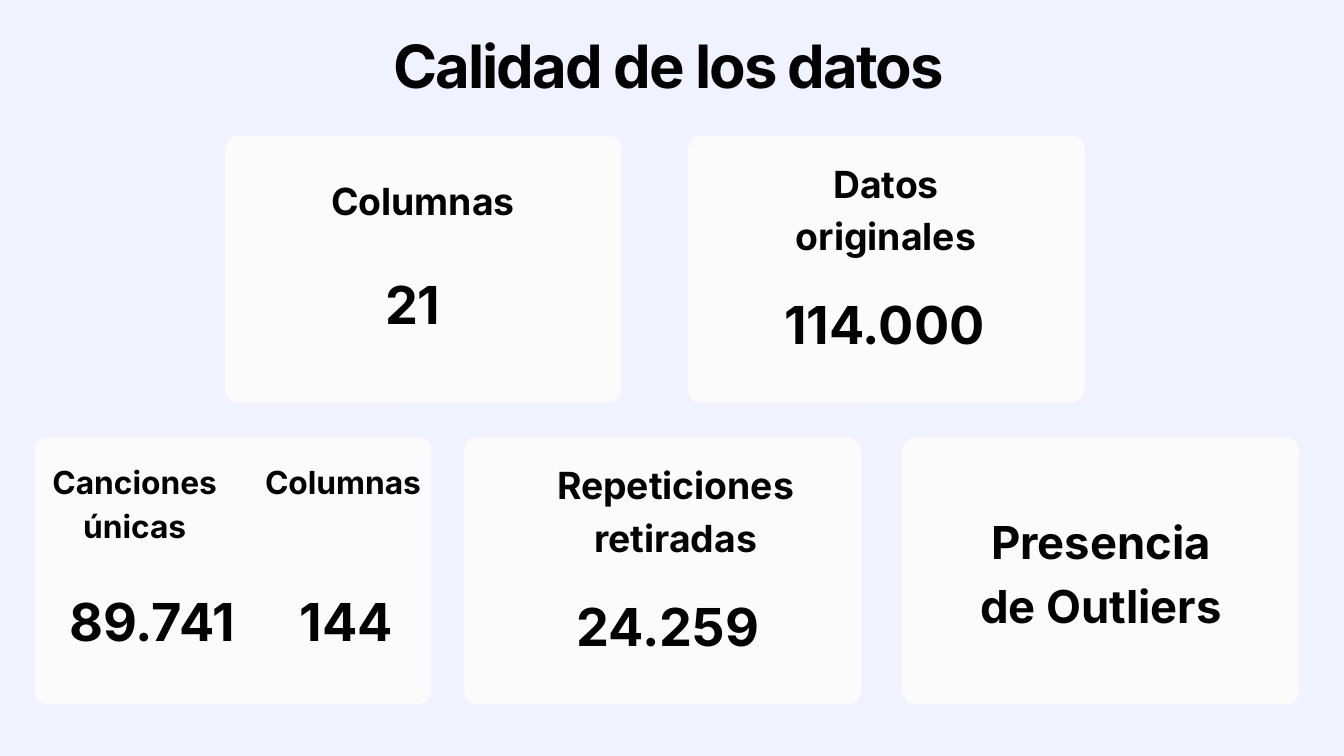
"""Build the data quality slide with its five cards."""
from pptx import Presentation
from pptx.dml.color import RGBColor
from pptx.enum.shapes import MSO_SHAPE
from pptx.enum.text import MSO_ANCHOR, MSO_AUTO_SIZE, PP_ALIGN
from pptx.util import Inches, Pt


def paint(fill, color):
    fill.solid()
    fill.fore_color.rgb = RGBColor.from_string(color)


def write(shape, box, text, size, lead, align):
    shape.left, shape.top, shape.width, shape.height = map(Inches, box)
    frame = shape.text_frame
    frame.margin_left = frame.margin_right = 0
    frame.margin_top = frame.margin_bottom = 0
    frame.word_wrap = True
    frame.auto_size = MSO_AUTO_SIZE.NONE
    frame.vertical_anchor = MSO_ANCHOR.TOP
    para = frame.paragraphs[0]
    para.alignment = align
    para.line_spacing = Pt(lead)
    run = para.add_run()
    run.text = text
    font = run.font
    font.name, font.size, font.bold = "Inter", Pt(size), True
    paint(font.fill, "020202")
    return run


deck = Presentation()
deck.slide_width, deck.slide_height = Inches(20), Inches(11.25)
slide = deck.slides.add_slide(deck.slide_layouts[5])
paint(slide.background.fill, "F1F2FF")
shapes = slide.shapes

title = write(shapes.title, (5.85, 0.43, 8.42, 1.06),
              "Calidad de los datos", 64, 76.8, PP_ALIGN.LEFT)
title._r.get_or_add_rPr().set("spc", "-200")

rows = [(2.02, (3.35, 10.24)), (6.51, (0.52, 6.91, 13.43))]
for top, lefts in rows:
    for left in lefts:
        card = shapes.add_shape(MSO_SHAPE.ROUNDED_RECTANGLE, Inches(left),
                                Inches(top), Inches(5.9), Inches(3.97))
        card.adjustments[0] = 0.05
        card.shadow.inherit = False
        paint(card.fill, "FBFBFB")
        card.line.fill.background()

labels = [
    ("Columnas", 40, (4.88, 2.54, 2.83, 0.74)),
    ("Datos originales", 40, (11.77, 2.28, 2.83, 1.51)),
    ("Canciones únicas", 34, (0.4, 6.79, 3.21, 1.29)),
    ("Columnas", 34, (3.5, 6.79, 3.21, 0.63)),
    ("Repeticiones retiradas", 40, (8.25, 6.77, 3.61, 1.51)),
    ("Presencia de Outliers", 48.6, (14.46, 7.52, 3.85, 1.84)),
]
values = [
    ("21", 56, (5.73, 3.89, 1.13, 1.04)),
    ("114.000", 56, (11.67, 4.2, 3.04, 1.04)),
    ("89.741", 56, (1.03, 8.61, 3.04, 2.13)),
    ("144", 56, (4.46, 8.61, 2.79, 2.13)),
    ("24.259", 56, (8.58, 8.69, 3.04, 1.04)),
]
for group, align in ((labels, PP_ALIGN.CENTER), (values, PP_ALIGN.LEFT)):
    for text, size, box in group:
        label = shapes.add_textbox(0, 0, 0, 0)
        write(label, box, text, size, round(size * 1.4, 1), align)

deck.save("out.pptx")
